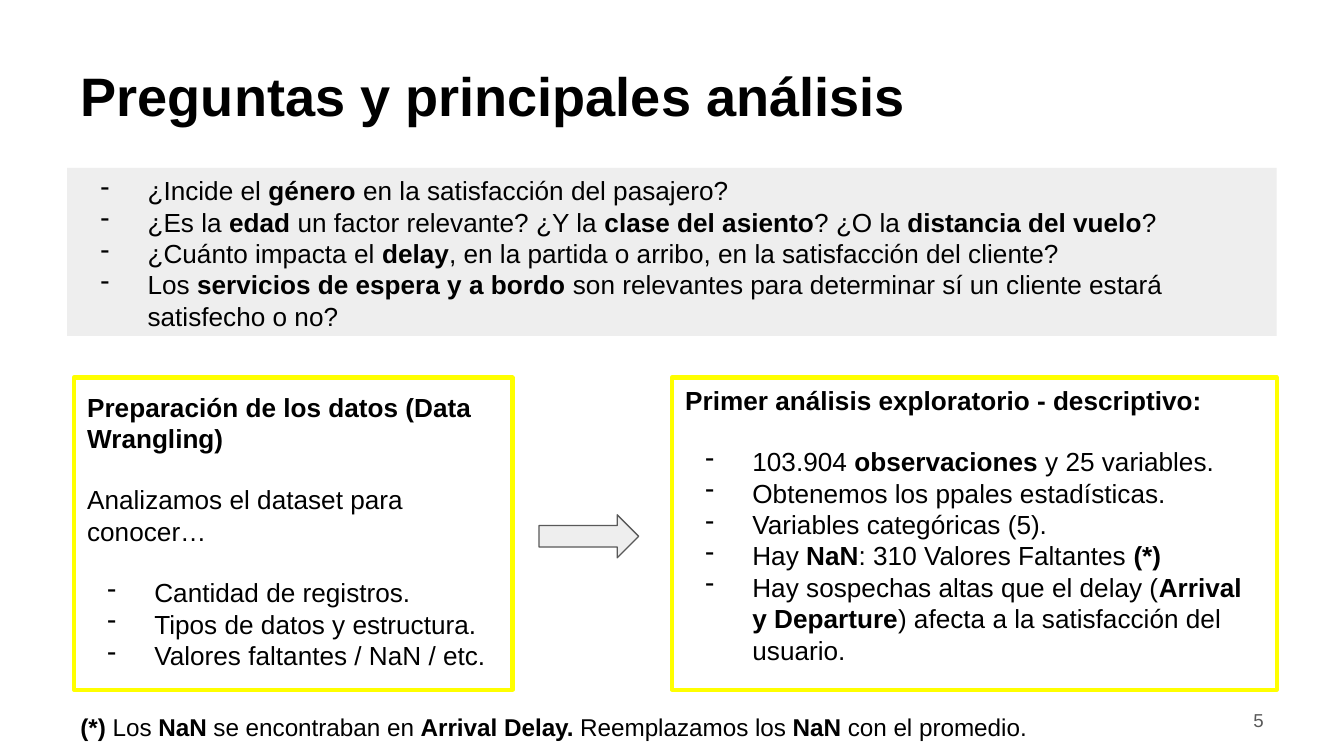
from lxml import etree
from pptx import Presentation
from pptx.dml.color import RGBColor
from pptx.enum.shapes import MSO_SHAPE
from pptx.enum.text import MSO_ANCHOR, PP_ALIGN
from pptx.oxml.ns import qn
from pptx.util import Pt


def paint(color, value):
    color.rgb = RGBColor.from_string(value)


def write(shape, lines, size, inset=3.6, color="000000"):
    """Fill a shape with lines: "- " makes a bullet, "^" a gap above, "|" toggles bold."""
    frame = shape.text_frame
    frame.word_wrap = True
    frame.vertical_anchor = MSO_ANCHOR.TOP
    frame.margin_left = frame.margin_right = Pt(7.2)
    frame.margin_top = frame.margin_bottom = Pt(inset)
    for i, line in enumerate(lines):
        para = frame.paragraphs[0] if i == 0 else frame.add_paragraph()
        para.alignment = PP_ALIGN.LEFT
        para.font.name = "Arial"
        para.font.size = Pt(size)
        paint(para.font.color, color)
        if line.startswith("^"):
            para.space_before = Pt(16.1)
            line = line[1:]
        if line.startswith("- "):
            props = para._p.get_or_add_pPr()
            props.set("marL", str(Pt(36)))
            props.set("indent", str(Pt(-25.2)))
            mark = etree.Element(qn("a:buChar"), char="-")
            props.insert_element_before(mark, "a:tabLst", "a:defRPr", "a:extLst")
            line = line[2:]
        for j, part in enumerate(line.split("|")):
            if part:
                run = para.add_run()
                run.text = part
                run.font.bold = j % 2 == 1


deck = Presentation()
deck.slide_width, deck.slide_height = Pt(720), Pt(405)
slide = deck.slides.add_slide(deck.slide_layouts[5])
shapes = slide.shapes

title = shapes.title
title.left, title.top, title.width, title.height = Pt(36), Pt(16.8), Pt(648), Pt(67.6)
write(title, ["|Preguntas y principales análisis|"], 29)
title.text_frame.vertical_anchor = MSO_ANCHOR.MIDDLE

asks = [
    "- ¿Incide el |género |en la satisfacción del pasajero?",
    "- ¿Es la |edad |un factor relevante? ¿Y la |clase del asiento|? ¿O la |distancia del vuelo|?",
    "- ¿Cuánto impacta el |delay|, en la partida o arribo, en la satisfacción del cliente?",
    "- Los |servicios de espera y a bordo| son relevantes para determinar sí un cliente estará satisfecho o no?",
]
prep = [
    "|Preparación de los datos (Data Wrangling)|",
    "^Analizamos el dataset para conocer…",
    "^- Cantidad de registros.",
    "- Tipos de datos y estructura.",
    "- Valores faltantes / NaN / etc.",
]
first = [
    "|Primer análisis exploratorio - descriptivo:|",
    "^- 103.904 |observaciones |y 25 variables.",
    "- Obtenemos los ppales estadísticas.",
    "- Variables categóricas (5).",
    "- Hay |NaN|: 310 Valores Faltantes |(*)|",
    "- Hay sospechas altas que el delay (|Arrival y Departure|) afecta a la satisfacción del usuario.",
]

# Kind, left, top, width, height, fill, line, line width, lines, inset
RECT, ARROW = MSO_SHAPE.RECTANGLE, MSO_SHAPE.RIGHT_ARROW
blocks = [
    (RECT, 36, 90, 648, 90, "EEEEEE", None, 0, asks, 3.6),
    (ARROW, 288.8, 275.8, 53.4, 23, "EEEEEE", "595959", 0.75, [], 0),
    (RECT, 39.6, 202.3, 235, 167.2, None, "FFFF00", 2.25, prep, 7.2),
    (RECT, 360, 202.3, 324, 167.2, None, "FFFF00", 2.25, first, 3.6),
]
for kind, left, top, width, height, fill, line, weight, lines, inset in blocks:
    block = shapes.add_shape(kind, Pt(left), Pt(top), Pt(width), Pt(height))
    block.shadow.inherit = False
    if fill:
        block.fill.solid()
        paint(block.fill.fore_color, fill)
    else:
        block.fill.background()
    if line:
        paint(block.line.color, line)
        block.line.width = Pt(weight)
    else:
        block.line.fill.background()
    write(block, lines, 14, inset)

note = shapes.add_textbox(Pt(36), Pt(374.4), Pt(635.8), Pt(30.2))
write(note, ["|(*) |Los |NaN| se encontraban en |Arrival Delay. |Reemplazamos los |NaN| con el promedio."], 13, 7.2)

number = shapes.add_textbox(Pt(516), Pt(375), Pt(168), Pt(21.6))
write(number, ["5"], 10, color="595959")
number.text_frame.vertical_anchor = MSO_ANCHOR.MIDDLE
number.text_frame.paragraphs[0].alignment = PP_ALIGN.RIGHT

deck.save("out.pptx")
